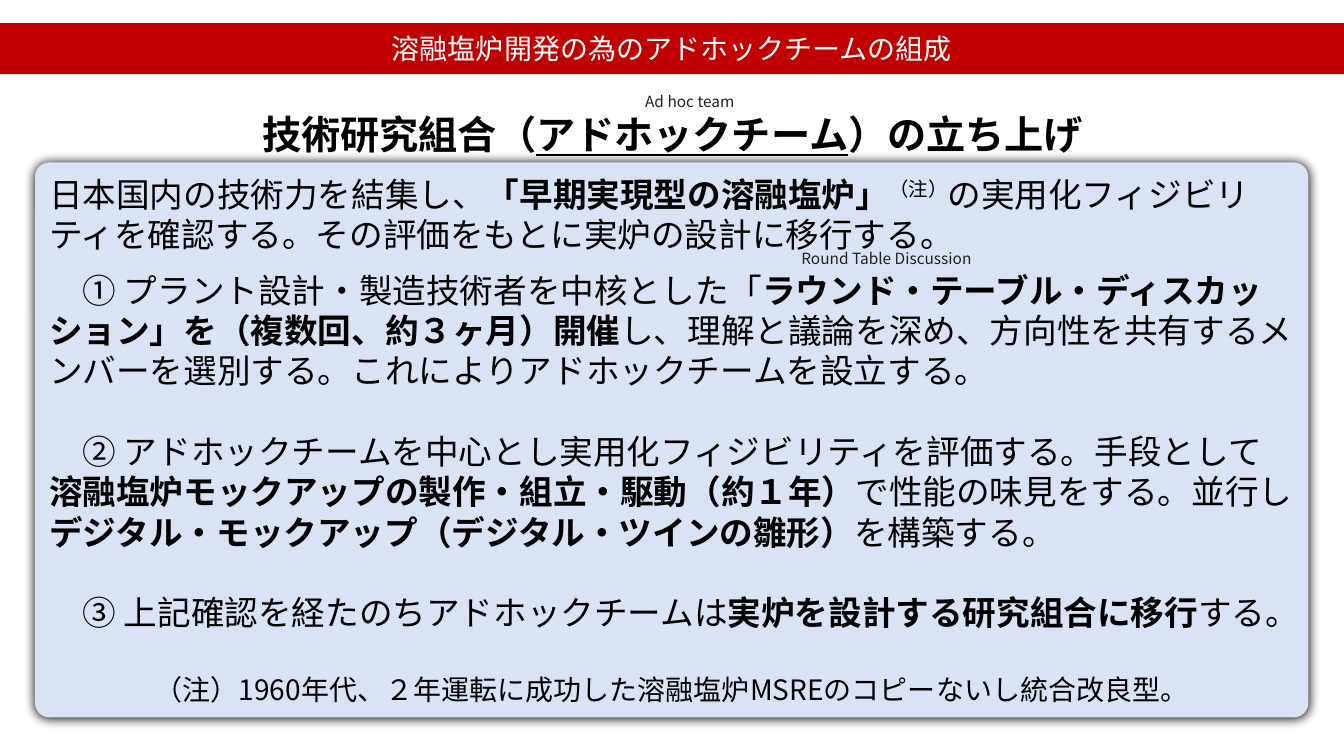
from dataclasses import dataclass

import lxml.etree
import pptx
import pptx.dml.color
import pptx.enum.shapes
import pptx.enum.text
import pptx.oxml
import pptx.oxml.ns
import pptx.util

Pt = pptx.util.Pt
qn = pptx.oxml.ns.qn
ALIGN = pptx.enum.text.PP_ALIGN
ANCHOR = pptx.enum.text.MSO_ANCHOR
SHAPES = pptx.enum.shapes.MSO_SHAPE


@dataclass(frozen=True)
class Theme:
    font: str = "Noto Sans CJK JP"
    banner: str = "C00000"
    panel: str = "DAE3F3"
    black: str = "000000"
    white: str = "FFFFFF"
    caption: str = "212121"
    title_size: float = 28
    body_size: float = 24
    note_size: float = 20
    caption_size: float = 11
    leading: float = 1.2


class SlideBuilder:
    def __init__(self, slide, theme):
        self.slide = slide
        self.theme = theme

    def panel(self, kind, box, fill):
        shape = self.slide.shapes.add_shape(kind, *map(Pt, box))
        shape.shadow.inherit = False
        shape.fill.solid()
        shape.fill.fore_color.rgb = pptx.dml.color.RGBColor.from_string(fill)
        shape.line.fill.background()
        shape.text_frame.word_wrap = True
        shape.text_frame.vertical_anchor = ANCHOR.MIDDLE
        return shape

    def glow(self, shape, blur, distance):
        effects = shape._element.spPr.find(qn("a:effectLst"))
        shadow = lxml.etree.SubElement(
            effects, qn("a:outerShdw"), blurRad=str(Pt(blur)),
            dist=str(Pt(distance)), dir="5400000", algn="t", rotWithShape="0")
        lxml.etree.SubElement(shadow, qn("a:srgbClr"), val=self.theme.black)

    def text_box(self, box, margin=None):
        frame = self.slide.shapes.add_textbox(*map(Pt, box)).text_frame
        frame.word_wrap = True
        if margin is not None:
            frame.margin_left = frame.margin_right = Pt(margin)
            frame.margin_top = frame.margin_bottom = Pt(margin)
            frame.vertical_anchor = ANCHOR.MIDDLE
        return frame

    def add_text(self, frame, runs, size, color, align=ALIGN.LEFT, bold=None, before=0):
        paragraph = frame.paragraphs[0]
        if paragraph.runs:
            paragraph = frame.add_paragraph()
        paragraph.alignment = align
        paragraph.line_spacing = Pt(size * self.theme.leading)
        if before:
            paragraph.space_before = Pt(before)
        font = paragraph.font
        font.size = Pt(size)
        font.name = self.theme.font
        font.color.rgb = pptx.dml.color.RGBColor.from_string(color)
        font.bold = bold
        defaults = paragraph._p.pPr.find(qn("a:defRPr"))
        latin = defaults.find(qn("a:latin"))
        latin.addnext(defaults.makeelement(qn("a:ea"), {"typeface": self.theme.font}))
        for text, style in runs:
            run = paragraph.add_run()
            run.text = text
            if style == "bold":
                run.font.bold = True
            elif style == "underline":
                run.font.underline = True
            elif style == "superscript":
                run._r.get_or_add_rPr().set("baseline", "30000")


BODY = [
    (0, [
        ("日本国内の技術力を結集し、", ""),
        ("「早期実現型の溶融塩炉」", "bold"),
        ("（注）", "superscript"),
        ("の実用化フィジビリティを確認する。その評価をもとに実炉の設計に移行する。", ""),
    ]),
    (11, [
        ("　① プラント設計・製造技術者を中核とした「", ""),
        ("ラウンド・テーブル・ディスカッション」を（複数回、約３ヶ月）開催", "bold"),
        ("し、理解と議論を深め、方向性を共有するメンバーを選別する。"
         "これによりアドホックチームを設立する。", ""),
    ]),
    (28.8, [
        ("　② アドホックチームを中心とし実用化フィジビリティを評価する。手段として", ""),
        ("溶融塩炉モックアップの製作・組立・駆動（約１年）", "bold"),
        ("で性能の味見をする。並行し", ""),
        ("デジタル・モックアップ（デジタル・ツインの雛形）", "bold"),
        ("を構築する。", ""),
    ]),
    (28.8, [
        ("　③ 上記確認を経たのちアドホックチームは", ""),
        ("実炉を設計する研究組合に移行", "bold"),
        ("する。", ""),
    ]),
]
NOTE = "（注）1960年代、２年運転に成功した溶融塩炉MSREのコピーないし統合改良型。"
CAPTIONS = [
    ("Round Table Discussion", (492.5, 178, 281.5, 13.5)),
    ("Ad hoc team", (417.5, 65.5, 150.5, 13.5)),
]


def main():
    theme = Theme()
    presentation = pptx.Presentation()
    presentation.slide_width = Pt(960)
    presentation.slide_height = Pt(540)
    slide = presentation.slides.add_slide(presentation.slide_layouts[6])
    builder = SlideBuilder(slide, theme)

    banner = builder.panel(SHAPES.RECTANGLE, (0, 16.5, 960, 36.5), theme.banner)
    builder.add_text(banner.text_frame, [("溶融塩炉開発の為のアドホックチームの組成", "")],
                     theme.note_size, theme.white, ALIGN.CENTER)

    title = builder.text_box((10, 75, 941, 41))
    builder.add_text(title, [("技術研究組合（", ""), ("アドホックチーム", "underline"),
                             ("）の立ち上げ", "")],
                     theme.title_size, theme.black, ALIGN.CENTER, bold=True)

    panel = builder.panel(SHAPES.ROUNDED_RECTANGLE, (25, 116, 909.5, 396.5), theme.panel)
    panel.adjustments[0] = 0.026
    builder.glow(panel, blur=8.5, distance=1)
    for before, runs in BODY:
        builder.add_text(panel.text_frame, runs, theme.body_size, theme.black, before=before)
    builder.add_text(panel.text_frame, [(NOTE, "")], theme.note_size, theme.black,
                     ALIGN.CENTER, before=28.8)

    for text, box in CAPTIONS:
        builder.add_text(builder.text_box(box, margin=0), [(text, "")],
                         theme.caption_size, theme.caption, ALIGN.CENTER)

    presentation.save("out.pptx")


if __name__ == "__main__":
    main()
